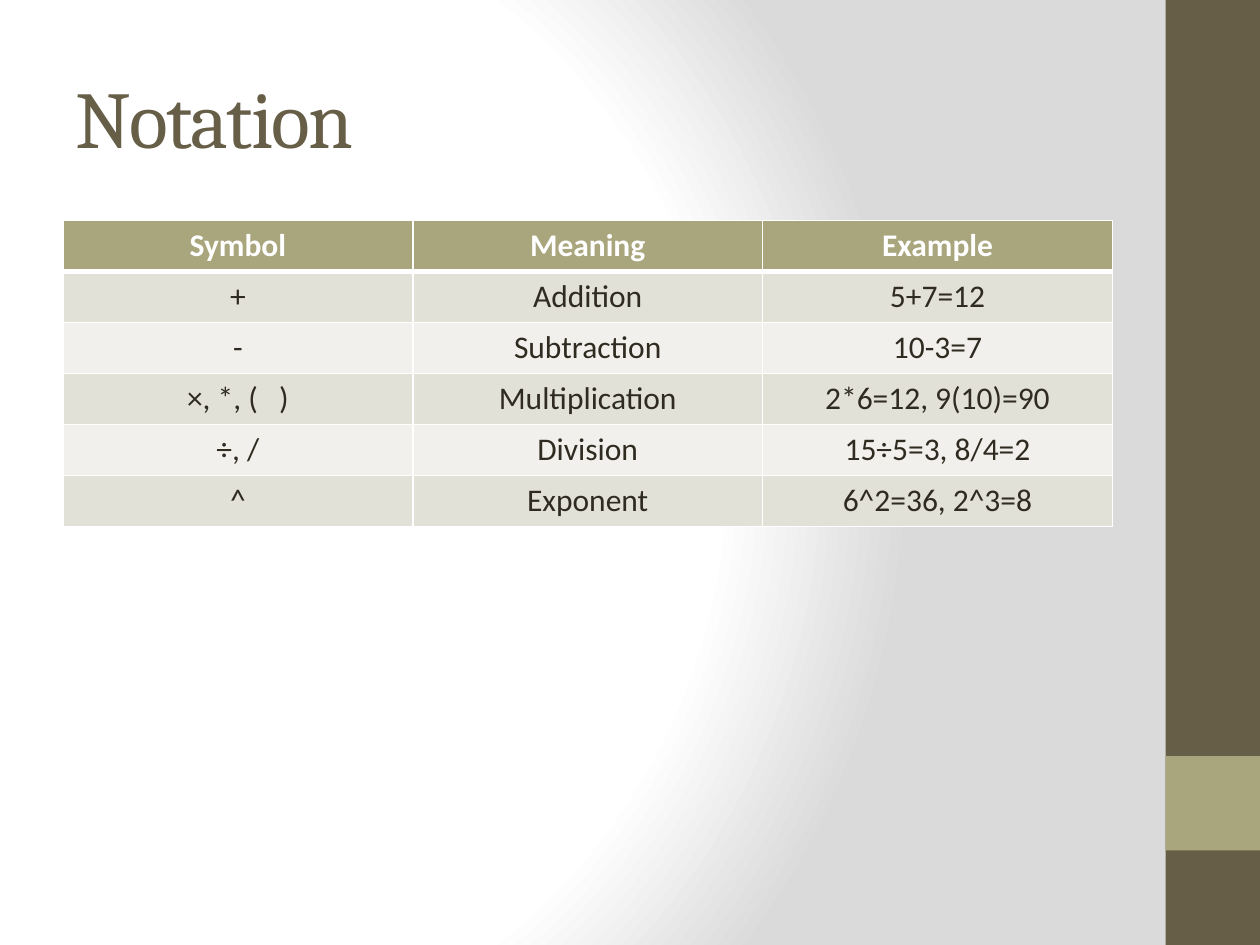
import pptx
import pptx.dml.color
import pptx.enum.shapes
import pptx.enum.text
import pptx.oxml
import pptx.oxml.ns
import pptx.util
from pptx.util import Inches

COLORS = {
    "brown": "675E47",
    "olive": "A9A57C",
    "band_dark": "E2E1D7",
    "band_light": "F1F0EC",
    "text": "2F2B20",
    "white": "FFFFFF",
    "gray": "DADADA",
}
ROWS = [
    ("Symbol", "Meaning", "Example"),
    ("+", "Addition", "5+7=12"),
    ("-", "Subtraction", "10-3=7"),
    ("×, *, (   )", "Multiplication", "2*6=12, 9(10)=90"),
    ("÷, /", "Division", "15÷5=3, 8/4=2"),
    ("^", "Exponent", "6^2=36, 2^3=8"),
]
NAMESPACE = pptx.oxml.ns.nsdecls("a")


def rgb(name):
    return pptx.dml.color.RGBColor.from_string(COLORS[name])


def add_border(cell, side, points):
    """Draw a white line on one side (L, R, T or B) of a cell."""
    cell._tc.get_or_add_tcPr().append(pptx.oxml.parse_xml(
        f'<a:ln{side} {NAMESPACE} w="{pptx.util.Pt(points)}"><a:solidFill>'
        f'<a:srgbClr val="{COLORS["white"]}"/></a:solidFill></a:ln{side}>'))


presentation = pptx.Presentation()
presentation.slide_width = Inches(10)
presentation.slide_height = Inches(7.5)
slide = presentation.slides.add_slide(presentation.slide_layouts[6])

# Radial background
slide.background.fill.gradient()
gradient = slide.element.find(".//" + pptx.oxml.ns.qn("a:gradFill"))
stops = "".join(
    f'<a:gs pos="{percent * 1000}"><a:srgbClr val="{COLORS[name]}"/></a:gs>'
    for percent, name in [(0, "white"), (75, "white"), (100, "gray")])
gradient.getparent().replace(gradient, pptx.oxml.parse_xml(
    f'<a:gradFill {NAMESPACE} rotWithShape="1"><a:gsLst>{stops}</a:gsLst>'
    '<a:path path="circle"><a:fillToRect l="20000" t="50000" r="100000" b="50000"/>'
    '</a:path></a:gradFill>'))

# Side band and its accent
for top, height, color in [(0, 7.5, "brown"), (6, 0.75, "olive")]:
    shape = slide.shapes.add_shape(
        pptx.enum.shapes.MSO_SHAPE.RECTANGLE,
        Inches(9.25), Inches(top), Inches(0.75), Inches(height))
    shape.shadow.inherit = False
    shape.fill.solid()
    shape.fill.fore_color.rgb = rgb(color)
    shape.line.fill.background()

# Title
title = slide.shapes.add_textbox(Inches(0.5), Inches(0.3), Inches(8.33), Inches(1.25))
title.text_frame.word_wrap = True
title.text_frame.vertical_anchor = pptx.enum.text.MSO_ANCHOR.MIDDLE
paragraph = title.text_frame.paragraphs[0]
run = paragraph.add_run()
run.text = "Notation"
run.font._element.set("spc", "-100")
paragraph.font.name = "Cambria"
paragraph.font.size = pptx.util.Pt(46)
paragraph.font.color.rgb = rgb("brown")

# Notation table
table = slide.shapes.add_table(
    len(ROWS), len(ROWS[0]),
    Inches(0.5), Inches(1.75), Inches(8.33), Inches(2.43)).table
for row_index, row in enumerate(ROWS):
    is_header = row_index == 0
    fill = "olive" if is_header else "band_dark" if row_index % 2 else "band_light"
    for column_index, text in enumerate(row):
        cell = table.cell(row_index, column_index)
        cell.text = text
        cell.vertical_anchor = pptx.enum.text.MSO_ANCHOR.MIDDLE
        add_border(cell, "L", 1)
        add_border(cell, "R", 1)
        add_border(cell, "T", 3 if row_index == 1 else 1)
        add_border(cell, "B", 3 if is_header else 1)
        cell.fill.solid()
        cell.fill.fore_color.rgb = rgb(fill)
        paragraph = cell.text_frame.paragraphs[0]
        paragraph.alignment = pptx.enum.text.PP_ALIGN.CENTER
        paragraph.font.name = "Calibri"
        paragraph.font.size = pptx.util.Pt(18)
        paragraph.font.bold = is_header
        paragraph.font.color.rgb = rgb("white" if is_header else "text")

presentation.save("out.pptx")
